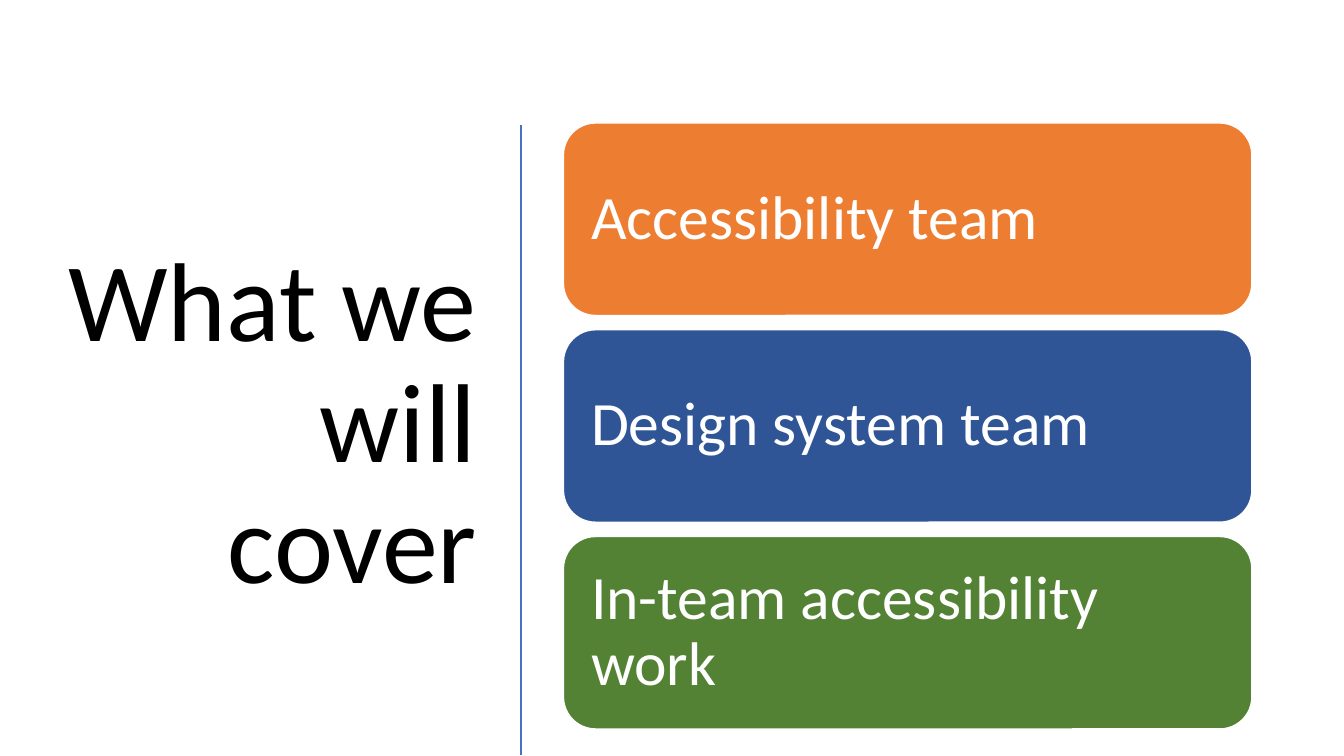
from dataclasses import dataclass

from lxml import etree
from pptx import Presentation
from pptx.dml.color import RGBColor
from pptx.enum import shapes, text
from pptx.oxml import ns
from pptx.util import Cm, Pt


@dataclass(frozen=True)
class Theme:
    font: str = "Calibri"
    title_size: int = 80
    topic_size: int = 44
    ink: str = "000000"
    paper: str = "FFFFFF"
    divider: str = "4472C4"
    orange: str = "ED7D31"
    blue: str = "2F5597"
    green: str = "548235"


THEME = Theme()
TOPICS = [
    ("Accessibility team", THEME.orange),
    ("Design system team", THEME.blue),
    ("In-team accessibility work", THEME.green),
]
CARD_TOP, CARD_PITCH = 3.1, 5.21


def write(frame, wording, size, color, align):
    """Fill a frame with one wrapped, vertically centred paragraph."""
    frame.word_wrap = True
    frame.vertical_anchor = text.MSO_ANCHOR.MIDDLE
    paragraph = frame.paragraphs[0]
    paragraph.alignment = align
    paragraph.line_spacing = 0.9
    run = paragraph.add_run()
    run.text = wording
    run.font.name = THEME.font
    run.font.size = Pt(size)
    run.font.color.rgb = RGBColor.from_string(color)


def add_title(slide, wording):
    title = slide.shapes.add_textbox(Cm(1.32), Cm(2.97), Cm(10.95), Cm(15.52))
    write(title.text_frame, wording, THEME.title_size, THEME.ink, text.PP_ALIGN.RIGHT)


def add_divider(slide):
    divider = slide.shapes.add_connector(
        shapes.MSO_CONNECTOR.STRAIGHT, Cm(13.13), Cm(3.15), Cm(13.13), Cm(19.02))
    divider.line.color.rgb = RGBColor.from_string(THEME.divider)
    divider.line.width = Pt(2)
    etree.SubElement(divider._element.spPr, ns.qn("a:effectLst"))


def add_topic_card(slide, top, wording, color):
    card = slide.shapes.add_shape(
        shapes.MSO_SHAPE.ROUNDED_RECTANGLE, Cm(14.2), Cm(top), Cm(17.35), Cm(4.85))
    card.shadow.inherit = False
    card.fill.solid()
    card.fill.fore_color.rgb = RGBColor.from_string(color)
    card.line.color.rgb = RGBColor.from_string(THEME.paper)
    card.line.width = Pt(1)
    frame = card.text_frame
    frame.margin_left = frame.margin_right = Cm(0.46)
    frame.margin_top = frame.margin_bottom = Cm(0.46)
    write(frame, wording, THEME.topic_size, THEME.paper, text.PP_ALIGN.LEFT)


def main():
    deck = Presentation()
    deck.slide_width, deck.slide_height = Cm(33.87), Cm(19.05)
    slide = deck.slides.add_slide(deck.slide_layouts[6])
    add_title(slide, "What we will cover")
    add_divider(slide)
    for row, (wording, color) in enumerate(TOPICS):
        add_topic_card(slide, CARD_TOP + row * CARD_PITCH, wording, color)
    deck.save("out.pptx")


if __name__ == "__main__":
    main()
